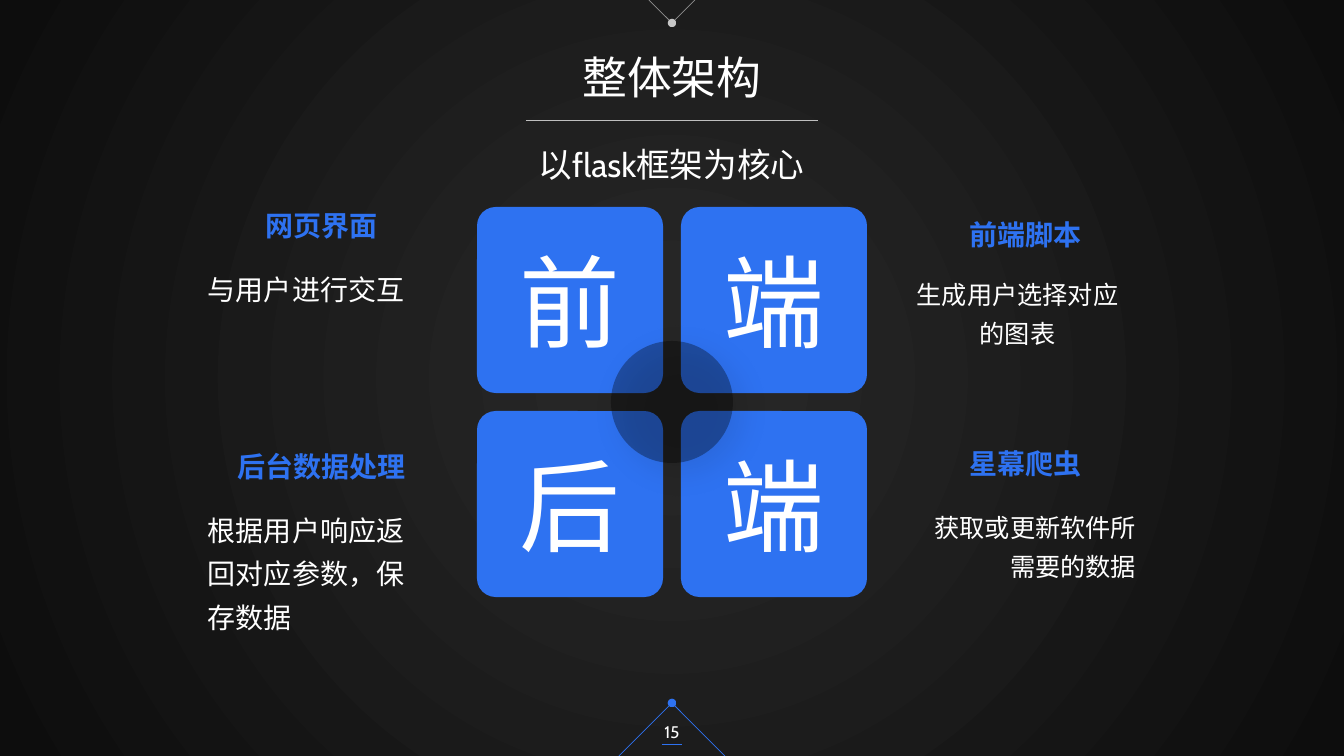
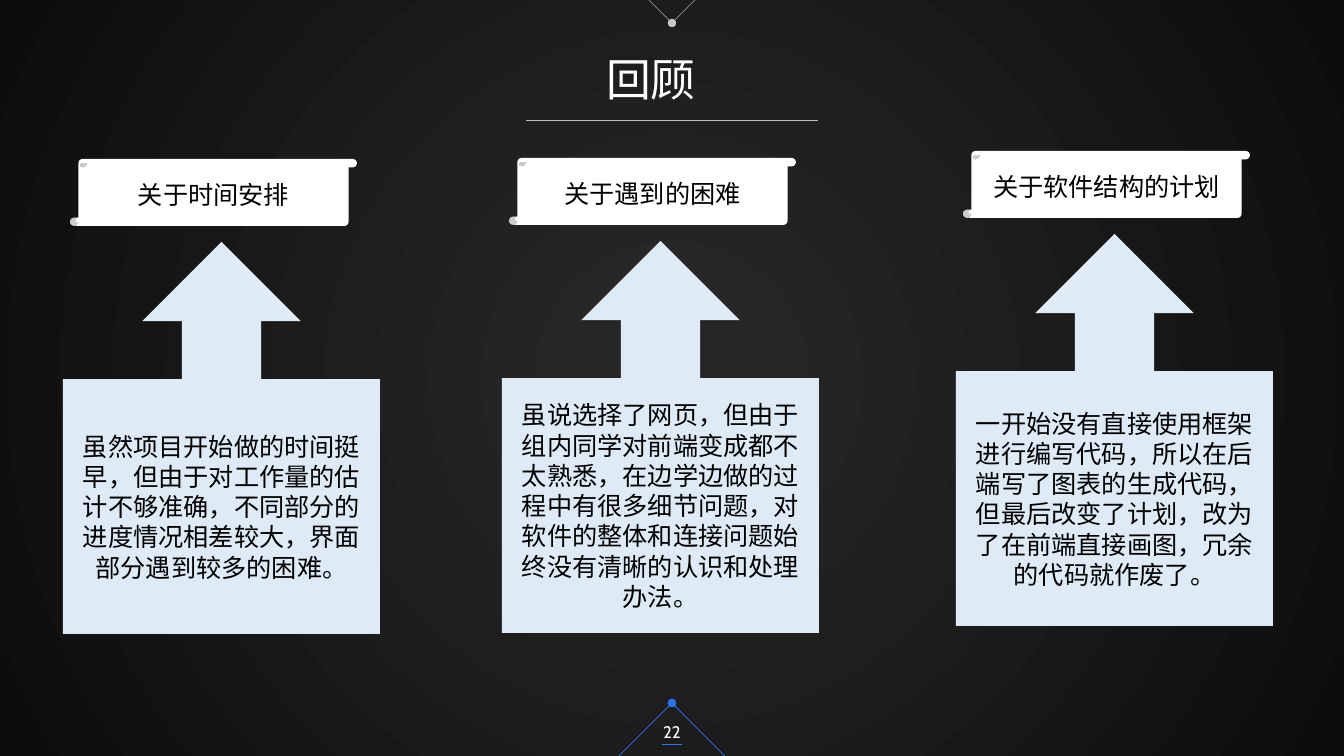
from lxml import etree
from pptx import Presentation
from pptx.dml.color import RGBColor
from pptx.enum.lang import MSO_LANGUAGE_ID
from pptx.enum.shapes import MSO_CONNECTOR, MSO_SHAPE
from pptx.enum.text import MSO_ANCHOR, PP_ALIGN
from pptx.oxml.ns import qn
from pptx.util import Emu, Pt

LEFT, MID, RIGHT = PP_ALIGN.LEFT, PP_ALIGN.CENTER, PP_ALIGN.RIGHT
TOP, MIDDLE = MSO_ANCHOR.TOP, MSO_ANCHOR.MIDDLE
TILE, DISC = MSO_SHAPE.ROUNDED_RECTANGLE, MSO_SHAPE.OVAL
SCROLL, ARROW = MSO_SHAPE.VERTICAL_SCROLL, MSO_SHAPE.UP_ARROW_CALLOUT
STRAIGHT = MSO_CONNECTOR.STRAIGHT
CHINESE = MSO_LANGUAGE_ID.SIMPLIFIED_CHINESE

WIDE, HIGH = 1344, 756
CENTER = WIDE // 2
SCALE = 12192000 / WIDE
FONT, HAN = "Cabin", "Noto Sans CJK JP"
BLUE, PALE, GRAY = "2E72F1", "DEEBF7", "BFBFBF"
WHITE, BLACK = "FFFFFF", "000000"
GLOW = [(0.11, "262626"), (1, "0D0D0D")]


def px(n):
    return Emu(round(n * SCALE))


def rgb(code):
    return RGBColor.from_string(code)


def sub(node, tag, **attrs):
    return etree.SubElement(node, qn(tag), {k: str(v) for k, v in attrs.items()})


def fade(node, share):
    """Make the solid colour inside a node partly transparent."""
    sub(next(node.iter(qn("a:srgbClr"))), "a:alpha", val=share * 1000)


# Text
def write(frame, text, size, color, align=MID, anchor=MIDDLE, bold=False,
          gap=None, font=FONT, wrap=True):
    frame.word_wrap = wrap
    frame.vertical_anchor = anchor
    para = frame.paragraphs[0]
    para.alignment = align
    if gap:
        para.line_spacing = gap
    run = para.add_run()
    run.text = text
    face = run.font
    face.name, face.size, face.bold = font, Pt(size), bold
    face.color.rgb = rgb(color)
    face.language_id = CHINESE
    sub(run._r.get_or_add_rPr(), "a:ea", typeface=HAN)


def label(slide, box, text, size, color=WHITE, anchor=TOP, **style):
    area = slide.shapes.add_textbox(*map(px, box))
    write(area.text_frame, text, size, color, anchor=anchor, **style)


# Shapes and lines
def block(slide, kind, box, color):
    shape = slide.shapes.add_shape(kind, *map(px, box))
    shape.shadow.inherit = False
    shape.fill.solid()
    shape.fill.fore_color.rgb = rgb(color)
    shape.line.fill.background()
    return shape


def line(slide, start, end, color, dot=False, alpha=None):
    link = slide.shapes.add_connector(STRAIGHT, *map(px, start + end))
    link.line.width = Pt(0.5)
    link.line.color.rgb = rgb(color)
    props = link._element.spPr
    if alpha:
        fade(props, alpha)
    if dot:
        sub(props.find(qn("a:ln")), "a:tailEnd", type="oval")
    sub(props, "a:effectLst")


def peak(slide, tip, base, reach, color, alpha=None):
    """Two lines that meet in a dot on the centre axis."""
    for side in (-reach, reach):
        line(slide, (CENTER + side, base), (CENTER, tip), color, True, alpha)


# Shared look
def backdrop(slide):
    fill = slide.background.fill
    fill.gradient()
    for stop, (place, color) in zip(fill.gradient_stops, GLOW):
        stop.position = place
        stop.color.rgb = rgb(color)
    grad = next(slide._element.iter(qn("a:gradFill")))
    grad.remove(grad.find(qn("a:lin")))
    ring = sub(grad, "a:path", path="circle")
    sub(ring, "a:fillToRect", l=50000, t=50000, r=50000, b=50000)


def page(deck, title, box, number, wrap=True):
    slide = deck.slides.add_slide(deck.slide_layouts[6])
    backdrop(slide)
    line(slide, (526, 120), (818, 120), GRAY)
    peak(slide, 23, 0, 23, WHITE, 50)
    peak(slide, 703, HIGH, 53, BLUE)
    line(slide, (662, 744), (682, 744), BLUE)
    label(slide, box, title, 32, wrap=wrap)
    label(slide, (637, 712, 70, 40), number, 12, anchor=MIDDLE)
    return slide


# Architecture slide
def tiles(slide, words):
    side, step = 186, 204
    for i, word in enumerate(words):
        row, col = divmod(i, 2)
        box = (477 + col * step, 207 + row * step, side, side)
        tile = block(slide, TILE, box, BLUE)
        tile.adjustments[0] = 0.1
        write(tile.text_frame, word, 72, WHITE)


def hub(slide):
    disc = block(slide, DISC, (611, 341, 122, 122), BLACK)
    props = disc._element.spPr
    fade(props, 33)
    shade = sub(props.find(qn("a:effectLst")), "a:outerShdw", blurRad=Pt(23),
                dist=Pt(9), dir=45 * 60000, algn="tl", rotWithShape=0)
    sub(shade, "a:srgbClr", val=BLACK)
    fade(shade, 25)


def note(slide, head, spot, text, place, size, align):
    label(slide, (*spot, 241, 44), head, 20, BLUE, bold=True)
    label(slide, (*place, 241, 86), text, size, align=align, gap=1.3)


def design(deck):
    slide = page(deck, "整体架构", (571, 45, 202, 64), "15", wrap=False)
    label(slide, (287, 139, 769, 50), "以flask框架为核心", 24)
    tiles(slide, "前端后端")
    hub(slide)
    notes = [
        ("网页界面", (201, 204), "与用户进行交互", (198, 257), 20, LEFT),
        ("前端脚本", (905, 213), "生成用户选择对应的图表", (897, 265), 18, MID),
        ("后台数据处理", (201, 445), "根据用户响应返回对应参数，保存数据",
         (198, 498), 20, LEFT),
        ("星幕爬虫", (905, 442), "获取或更新软件所需要的数据",
         (905, 498), 18, RIGHT),
    ]
    for item in notes:
        note(slide, *item)


# Review slide
def topic(slide, left, top, head, text):
    scroll = block(slide, SCROLL, (left + 7, top - 83, 287, 67), WHITE)
    write(scroll.text_frame, head, 18, BLACK, font=HAN)
    arrow = block(slide, ARROW, (left, top, 317, 392), PALE)
    write(arrow.text_frame, text, 18, BLACK)


def review(deck):
    slide = page(deck, "回顾", (529, 47, 244, 64), "22")
    topics = [
        (63, 242, "关于时间安排",
         "虽然项目开始做的时间挺早，但由于对工作量的估计不够准确，"
         "不同部分的进度情况相差较大，界面部分遇到较多的困难。"),
        (502, 241, "关于遇到的困难",
         "虽说选择了网页，但由于组内同学对前端变成都不太熟悉，"
         "在边学边做的过程中有很多细节问题，"
         "对软件的整体和连接问题始终没有清晰的认识和处理办法。"),
        (956, 234, "关于软件结构的计划",
         "一开始没有直接使用框架进行编写代码，所以在后端写了图表的生成代码，"
         "但最后改变了计划，改为了在前端直接画图，冗余的代码就作废了。"),
    ]
    for item in topics:
        topic(slide, *item)


def main():
    deck = Presentation()
    deck.slide_width, deck.slide_height = px(WIDE), px(HIGH)
    design(deck)
    review(deck)
    deck.save("out.pptx")


if __name__ == "__main__":
    main()
